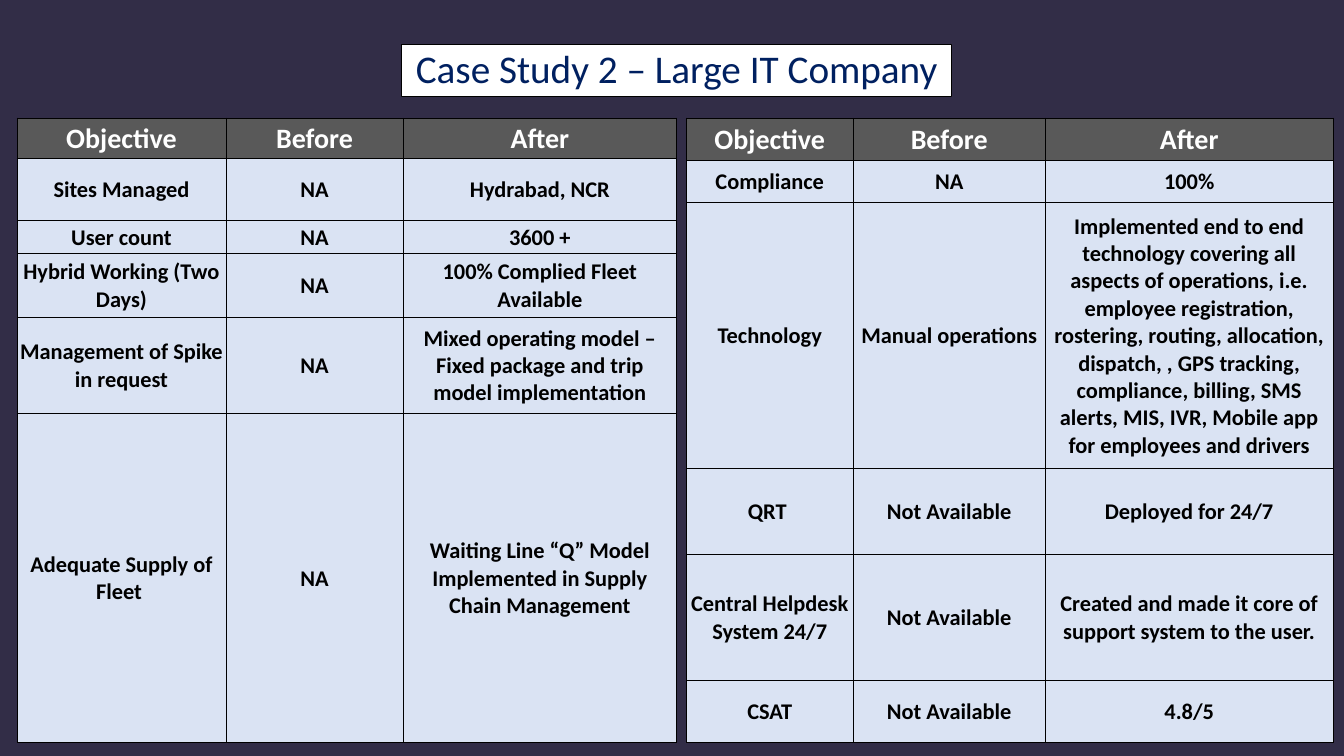
from dataclasses import dataclass

from lxml import etree
from pptx import Presentation
from pptx import util as u
from pptx.dml.color import RGBColor
from pptx.enum import text
from pptx.oxml import ns

BACKDROP = RGBColor(0x32, 0x2D, 0x47)
WHITE = RGBColor(0xFF, 0xFF, 0xFF)
BLACK = RGBColor(0x00, 0x00, 0x00)
NAVY = RGBColor(0x00, 0x20, 0x60)
HEADER_GREY = RGBColor(0x59, 0x59, 0x59)
PALE_BLUE = RGBColor(0xDA, 0xE3, 0xF3)
FONT = "Calibri"
HEADER = ("Objective", "Before", "After")


@dataclass
class ComparisonTable:
    left: float
    column_widths: list[float]
    row_heights: list[float]
    rows: list[tuple[str, str, str]]


TABLES = [
    ComparisonTable(
        left=0.17,
        column_widths=[2.07, 1.76, 2.71],
        row_heights=[0.4, 0.62, 0.32, 0.64, 0.95, 3.27],
        rows=[
            ("Sites Managed", "NA", "Hydrabad, NCR"),
            ("User count", "NA", "3600 +"),
            ("Hybrid Working (Two Days)", "NA", "100% Complied Fleet Available"),
            ("Management of Spike in request", "NA",
             "Mixed operating model – Fixed package and trip model implementation"),
            ("Adequate Supply of Fleet ", "NA",
             "Waiting Line “Q” Model Implemented in Supply Chain Management"),
        ],
    ),
    ComparisonTable(
        left=6.81,
        column_widths=[1.65, 1.91, 2.85],
        row_heights=[0.42, 0.42, 2.64, 0.85, 1.25, 0.62],
        rows=[
            ("Compliance", "NA", "100%"),
            ("Technology", "Manual operations",
             "Implemented end to end technology covering all aspects of operations, "
             "i.e. employee registration, rostering, routing, allocation, dispatch, , "
             "GPS tracking, compliance, billing, SMS alerts, MIS, IVR, Mobile app "
             "for employees and drivers"),
            ("QRT ", "Not Available", "Deployed for 24/7"),
            ("Central Helpdesk System 24/7", "Not Available",
             "Created and made it core of support system to the user."),
            ("CSAT", "Not Available", "4.8/5"),
        ],
    ),
]


def write_text(frame, wording: str, *, size: float, color: RGBColor,
               bold: bool = False, line_spacing: float = 1.0) -> None:
    """Put one centred paragraph into a text frame."""
    frame.word_wrap = True
    para = frame.paragraphs[0]
    para.alignment = text.PP_ALIGN.CENTER
    para.line_spacing = line_spacing
    para.space_before = u.Pt(0)
    span = para.add_run()
    span.text = wording
    span.font.name = FONT
    span.font.size = u.Pt(size)
    span.font.bold = bold
    span.font.color.rgb = color


def add_borders(cell, color: RGBColor, width: float) -> None:
    """Outline a cell; border elements come first in its properties."""
    properties = cell._tc.get_or_add_tcPr()
    for index, side in enumerate(("lnL", "lnR", "lnT", "lnB")):
        border = etree.Element(ns.qn(f"a:{side}"), w=str(u.Pt(width)))
        fill = etree.SubElement(border, ns.qn("a:solidFill"))
        etree.SubElement(fill, ns.qn("a:srgbClr"), val=str(color))
        properties.insert(index, border)


def format_cell(cell, wording: str, is_header: bool) -> None:
    cell.margin_left = cell.margin_right = cell.margin_top = u.Inches(0.01)
    cell.margin_bottom = u.Inches(0)
    cell.vertical_anchor = text.MSO_ANCHOR.MIDDLE
    cell.fill.solid()
    cell.fill.fore_color.rgb = HEADER_GREY if is_header else PALE_BLUE
    add_borders(cell, BLACK, 0.5)
    write_text(cell.text_frame, wording, bold=True,
               size=20 if is_header else 16,
               color=WHITE if is_header else BLACK)


def add_comparison(page, comparison: ComparisonTable) -> None:
    records = [HEADER, *comparison.rows]
    table = page.shapes.add_table(
        len(records), len(HEADER), u.Inches(comparison.left), u.Inches(1.17),
        u.Inches(sum(comparison.column_widths)),
        u.Inches(sum(comparison.row_heights))).table
    for column, width in zip(table.columns, comparison.column_widths):
        column.width = u.Inches(width)
    for row, height in zip(table.rows, comparison.row_heights):
        row.height = u.Inches(height)
    for row_index, record in enumerate(records):
        for column_index, wording in enumerate(record):
            format_cell(table.cell(row_index, column_index), wording, row_index == 0)


def add_title(page, wording: str) -> None:
    box = page.shapes.title
    box.left, box.top = u.Inches(3.98), u.Inches(0.44)
    box.width, box.height = u.Inches(5.46), u.Inches(0.52)
    box.fill.solid()
    box.fill.fore_color.rgb = WHITE
    box.line.color.rgb = BLACK
    box.line.width = u.Pt(1)
    box.text_frame.auto_size = text.MSO_AUTO_SIZE.NONE
    box.text_frame.vertical_anchor = text.MSO_ANCHOR.MIDDLE
    write_text(box.text_frame, wording, size=28, color=NAVY, line_spacing=0.9)


def main() -> None:
    deck = Presentation()
    deck.slide_width, deck.slide_height = u.Inches(13.33), u.Inches(7.5)
    page = deck.slides.add_slide(deck.slide_layouts.get_by_name("Title Only"))
    page.background.fill.solid()
    page.background.fill.fore_color.rgb = BACKDROP

    # Heading
    add_title(page, "Case Study 2 – Large IT Company")

    # Before and after tables
    for comparison in TABLES:
        add_comparison(page, comparison)

    deck.save("out.pptx")


if __name__ == "__main__":
    main()
